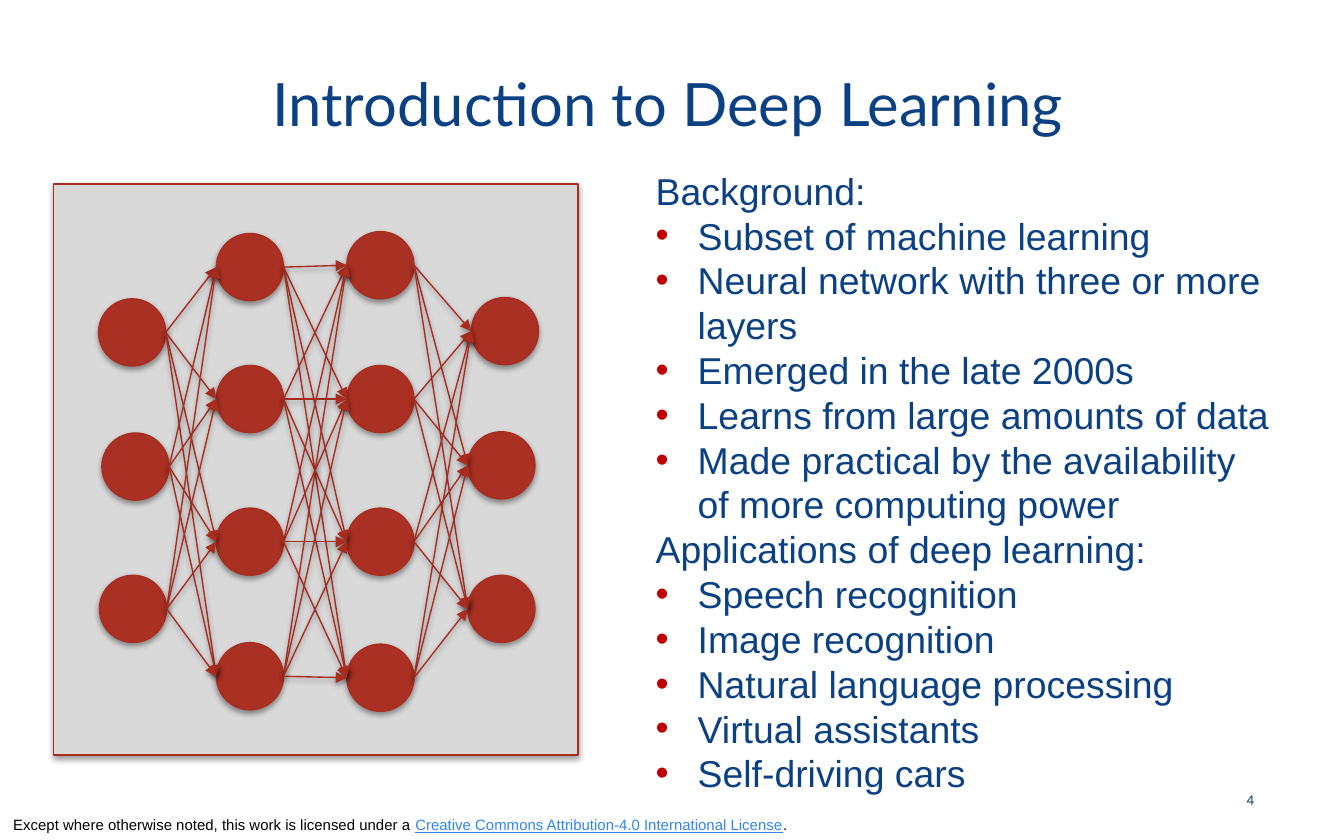
from itertools import product
from lxml import etree
from pptx import Presentation, util as u
from pptx.dml.color import RGBColor
from pptx.enum import shapes, text
from pptx.oxml import ns, parse_xml

Pt = u.Pt
NAVY, BRICK, EDGE = "0B4183", "A93023", "A92C1F"


def rgb(value):
    return RGBColor.from_string(value)


def add_run(p, content, size=20, font="Arial", color=NAVY, underline=None, align=None):
    r = p.add_run()
    r.text = content
    r.font.size = Pt(size)
    r.font.name = font
    r.font.color.rgb = rgb(color)
    r.font.underline = underline
    if align is not None:
        p.alignment = align


prs = Presentation()
prs.slide_width, prs.slide_height = Pt(720), Pt(450)
s = prs.slides.add_slide(prs.slide_layouts[5])

title = s.shapes.title
title.left, title.top, title.width, title.height = Pt(36.7), Pt(12.2), Pt(642.2), Pt(85.7)
tf = title.text_frame
tf.vertical_anchor = text.MSO_ANCHOR.MIDDLE
add_run(tf.paragraphs[0], "Introduction to Deep Learning", size=32, font="Lato",
        align=text.PP_ALIGN.CENTER)

panel = s.shapes.add_shape(shapes.MSO_SHAPE.RECTANGLE, Pt(28.8), Pt(98.6), Pt(280.8), Pt(306))
panel.fill.solid()
panel.fill.fore_color.rgb = rgb("D9D9D9")
drawn = [panel]

radius = 18
layers = [
    [(70.8, 178.1), (72.6, 250), (71.3, 326.2)],
    [(133.9, 143.1), (133.9, 213.8), (133.9, 290.2), (133.9, 362.3)],
    [(203.8, 142.1), (203.8, 213.8), (203.8, 290.2), (203.8, 363.1)],
    [(270.5, 177.4), (268.6, 249.3), (268.6, 326.2)],
]
for x, y in sum(layers, []):
    sp = s.shapes.add_shape(shapes.MSO_SHAPE.FLOWCHART_CONNECTOR, Pt(x - radius), Pt(y - radius),
                            Pt(2 * radius), Pt(2 * radius))
    sp.fill.solid()
    sp.fill.fore_color.rgb = rgb(BRICK)
    drawn.append(sp)

links = []
for sources, targets in zip(layers, layers[1:]):
    for (x1, y1), (x2, y2) in product(sources, targets):
        links.append(s.shapes.add_connector(shapes.MSO_CONNECTOR.STRAIGHT, Pt(x1 + radius), Pt(y1),
                                            Pt(x2 - radius), Pt(y2)))

for sp in drawn + links:
    sp.line.color.rgb = rgb(EDGE)
    sp.line.width = Pt(0.75)
    sp._element.spPr.append(parse_xml(
        f'<a:effectLst {ns.nsdecls("a")}><a:outerShdw blurRad="{Pt(3.1)}" dist="{Pt(1.6)}" '
        'dir="5400000" rotWithShape="0"><a:srgbClr val="000000"><a:alpha val="38000"/>'
        '</a:srgbClr></a:outerShdw></a:effectLst>'))
for link in links:
    etree.SubElement(link.line._get_or_add_ln(), ns.qn("a:tailEnd"), type="triangle")

tf = s.shapes.add_textbox(Pt(344.2), Pt(86.4), Pt(346.5), Pt(346.3)).text_frame
tf.word_wrap = True
sections = {
    "Background:": [
        "Subset of machine learning",
        "Neural network with three or more layers",
        "Emerged in the late 2000s",
        "Learns from large amounts of data",
        "Made practical by the availability of more computing power",
    ],
    "Applications of deep learning:": [
        "Speech recognition",
        "Image recognition",
        "Natural language processing",
        "Virtual assistants",
        "Self-driving cars",
    ],
}
p = tf.paragraphs[0]
for heading, bullets in sections.items():
    for line in [heading] + bullets:
        if p.runs:
            p = tf.add_paragraph()
        p.line_spacing = Pt(24)
        if line != heading:
            pPr = p._p.get_or_add_pPr()
            pPr.set("marL", str(Pt(22.5)))
            pPr.set("indent", str(-Pt(22.5)))
            color = etree.SubElement(pPr, ns.qn("a:buClr"))
            etree.SubElement(color, ns.qn("a:srgbClr"), val="C00000")
            etree.SubElement(pPr, ns.qn("a:buFont"), typeface="Arial")
            etree.SubElement(pPr, ns.qn("a:buChar"), char="•")
        add_run(p, line)

tf = s.shapes.add_textbox(Pt(646.6), Pt(416.2), Pt(32.4), Pt(23.8)).text_frame
tf.word_wrap = True
tf.vertical_anchor = text.MSO_ANCHOR.MIDDLE
add_run(tf.paragraphs[0], "4", size=8, font="Calibri", align=text.PP_ALIGN.RIGHT)

tf = s.shapes.add_textbox(Pt(0), Pt(433.4), Pt(540), Pt(16.6)).text_frame
tf.word_wrap = True
tf.vertical_anchor = text.MSO_ANCHOR.BOTTOM
p = tf.paragraphs[0]
add_run(p, "Except where otherwise noted, this work is licensed under a ", size=8, color="000000")
add_run(p, "Creative Commons Attribution-4.0 International License", size=8, color="3085ED",
        underline=True)
add_run(p, ".", size=8, color="000000")

prs.save("out.pptx")
